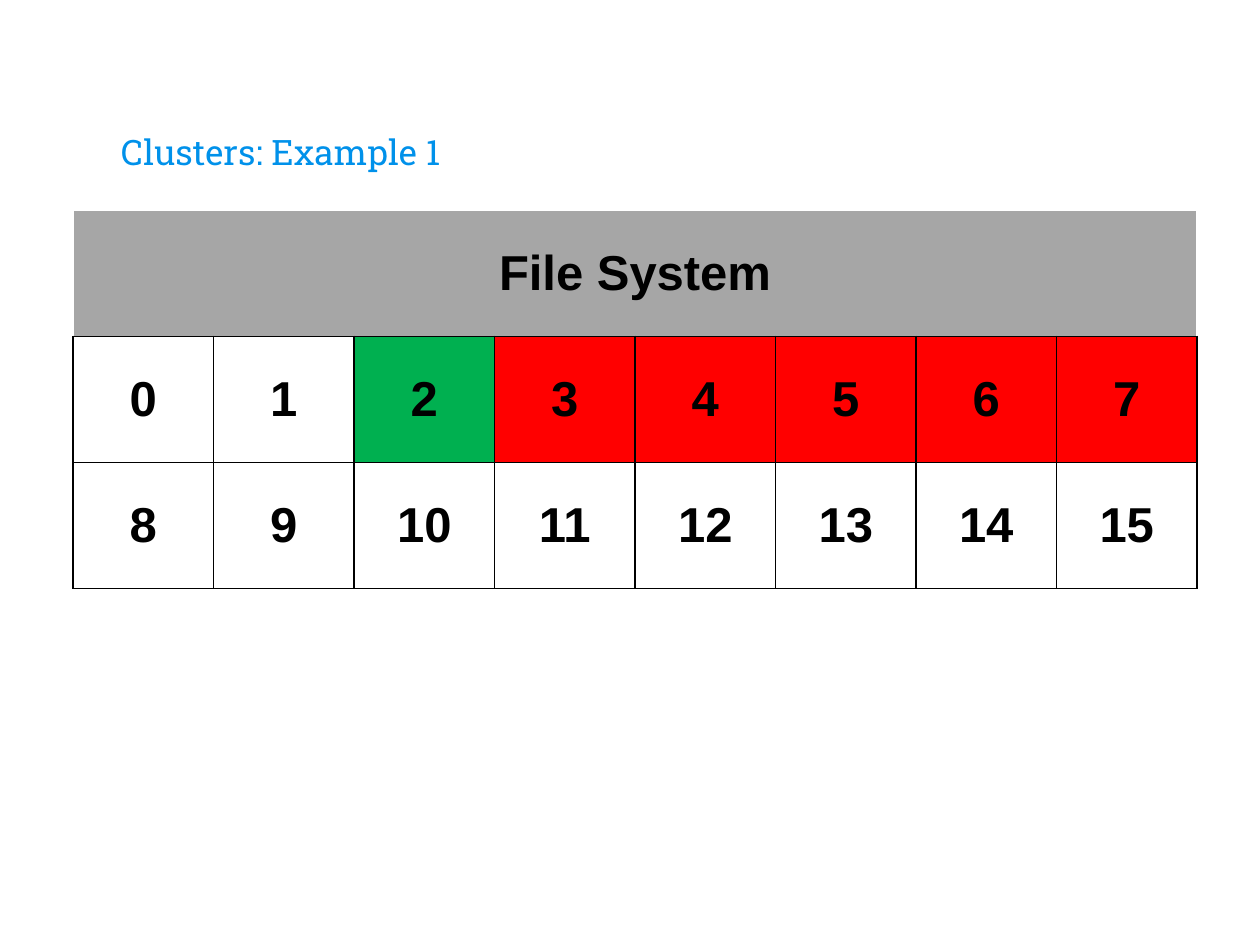
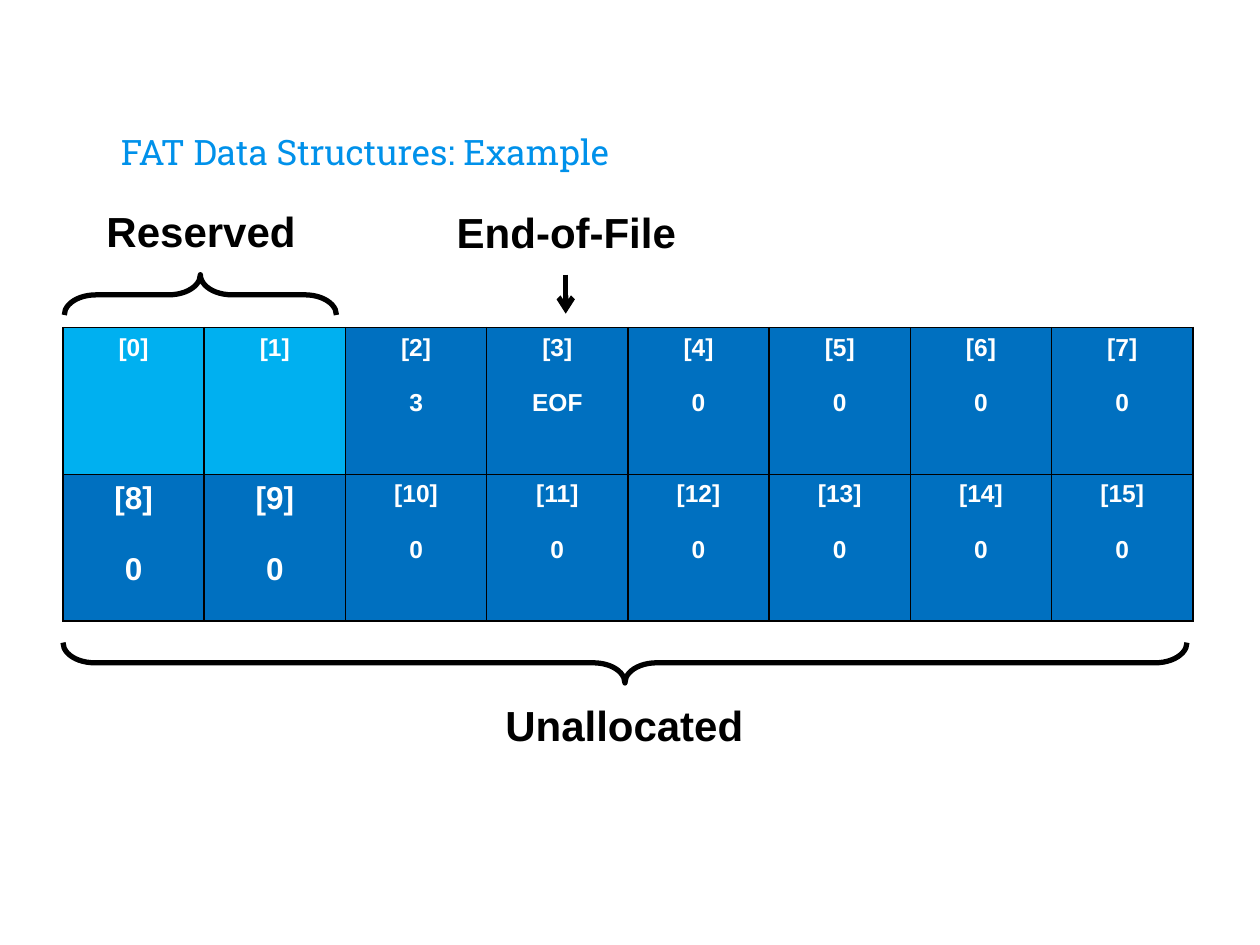
from lxml.etree import SubElement
from pptx import Presentation
from pptx.dml.color import RGBColor
from pptx.enum.shapes import MSO_CONNECTOR, MSO_SHAPE
from pptx.enum.text import MSO_ANCHOR, MSO_AUTO_SIZE, PP_ALIGN
from pptx.oxml.ns import qn
from pptx.util import Inches, Pt

BLACK = RGBColor(0x00, 0x00, 0x00)
WHITE = RGBColor(0xFF, 0xFF, 0xFF)
TITLE_BLUE = RGBColor(0x00, 0x91, 0xEA)
GRAY = RGBColor(0xA6, 0xA6, 0xA6)
GREEN = RGBColor(0x00, 0xB0, 0x50)
RED = RGBColor(0xFF, 0x00, 0x00)
LIGHT_BLUE = RGBColor(0x00, 0xB0, 0xF0)
DARK_BLUE = RGBColor(0x00, 0x70, 0xC0)
COLUMNS = 8


def write(text_frame, text, size=24, color=BLACK, font="Arial", bold=True,
          align=PP_ALIGN.CENTER, gap=0):
    text_frame.word_wrap = True
    for index, line in enumerate(text.split("\n")):
        paragraph = text_frame.paragraphs[0] if index == 0 else text_frame.add_paragraph()
        paragraph.alignment = align
        paragraph.space_before = Pt(gap if index else 0)
        run = paragraph.add_run()
        run.text = line
        run.font.name = font
        run.font.size = Pt(size)
        run.font.bold = bold
        run.font.color.rgb = color


def style_cell(cell, fill, edge=BLACK):
    properties = cell._tc.get_or_add_tcPr()
    for side, color in (("lnL", edge), ("lnR", edge), ("lnT", edge), ("lnB", BLACK)):
        line = SubElement(properties, qn(f"a:{side}"), w=str(Pt(1)))
        solid = SubElement(line, qn("a:solidFill"))
        SubElement(solid, qn("a:srgbClr"), val=str(color))
    cell.fill.solid()
    cell.fill.fore_color.rgb = fill


presentation = Presentation()
presentation.slide_width = Inches(10)
presentation.slide_height = Inches(7.5)

slides = []
tables = []
for title_text, rows, left, top, width, height in (
    ("Clusters: Example 1", 3, 0.58, 1.67, 8.92, 3),
    ("FAT Data Structures: Example", 2, 0.5, 2.6, 8.97, 2.33),
):
    slide = presentation.slides.add_slide(presentation.slide_layouts[5])
    title = slide.shapes.title
    title.left, title.top = Inches(0.86), Inches(0.45)
    title.width, title.height = Inches(8.28), Inches(1.02)
    frame = title.text_frame
    frame.auto_size = MSO_AUTO_SIZE.NONE
    frame.vertical_anchor = MSO_ANCHOR.BOTTOM
    frame.margin_left = frame.margin_right = Inches(0.1)
    frame.margin_top = frame.margin_bottom = Inches(0.1)
    write(frame, title_text, size=20, color=TITLE_BLUE, font="Roboto Slab",
          bold=False, align=PP_ALIGN.LEFT)
    table = slide.shapes.add_table(rows, COLUMNS, Inches(left), Inches(top),
                                   Inches(width), Inches(height)).table
    table.first_row = False
    table.horz_banding = False
    slides.append(slide)
    tables.append(table)

cluster_table, fat_table = tables
cluster_colors = {2: GREEN} | {number: RED for number in range(3, 8)}
cluster_table.cell(0, 0).merge(cluster_table.cell(0, COLUMNS - 1))
for position, cell in enumerate(cluster_table.iter_cells()):
    number = position - COLUMNS
    if number < 0:
        style_cell(cell, GRAY, edge=WHITE)
    else:
        style_cell(cell, cluster_colors.get(number, WHITE))
    cell.vertical_anchor = MSO_ANCHOR.MIDDLE
    cell.margin_left = cell.margin_right = Inches(0.07)
    cell.margin_top = cell.margin_bottom = 0
    if not cell.is_spanned:
        write(cell.text_frame, "File System" if number < 0 else str(number), size=28)

fat_values = {2: "3", 3: "EOF"}
for number, cell in enumerate(fat_table.iter_cells()):
    reserved = number < 2
    style_cell(cell, LIGHT_BLUE if reserved else DARK_BLUE)
    entry = f"[{number}]" if reserved else f"[{number}]\n{fat_values.get(number, '0')}"
    size = 18 if number in (8, 9) else 14
    write(cell.text_frame, entry, size=size, color=WHITE, gap=size * 1.14)

shapes = slides[1].shapes
for label, left, top, width in (
    ("Unallocated", 3.1, 5.5, 3.71),
    ("Reserved", 0.6, 1.58, 1.99),
    ("End-of-File", 3.5, 1.59, 1.99),
):
    box = shapes.add_textbox(Inches(left), Inches(top), Inches(width), Inches(0.58))
    write(box.text_frame, label)

for left, top, length, rotation in ((4.8, 0.8, 8.92, 270), (1.43, 1.26, 2.16, 90)):
    brace = shapes.add_shape(MSO_SHAPE.LEFT_BRACE, Inches(left), Inches(top),
                             Inches(0.32), Inches(length))
    brace.rotation = rotation
    brace.adjustments[0] = 0.785
    brace.adjustments[1] = 0.5
    brace.shadow.inherit = False
    brace.fill.background()
    brace.line.color.rgb = BLACK
    brace.line.width = Pt(3)

arrow = shapes.add_connector(MSO_CONNECTOR.STRAIGHT, Inches(4.49), Inches(2.18),
                             Inches(4.49), Inches(2.49))
arrow.line.color.rgb = BLACK
arrow.line.width = Pt(3)
SubElement(arrow.line._get_or_add_ln(), qn("a:tailEnd"), type="arrow")
SubElement(arrow._element.spPr, qn("a:effectLst"))

presentation.save("out.pptx")
